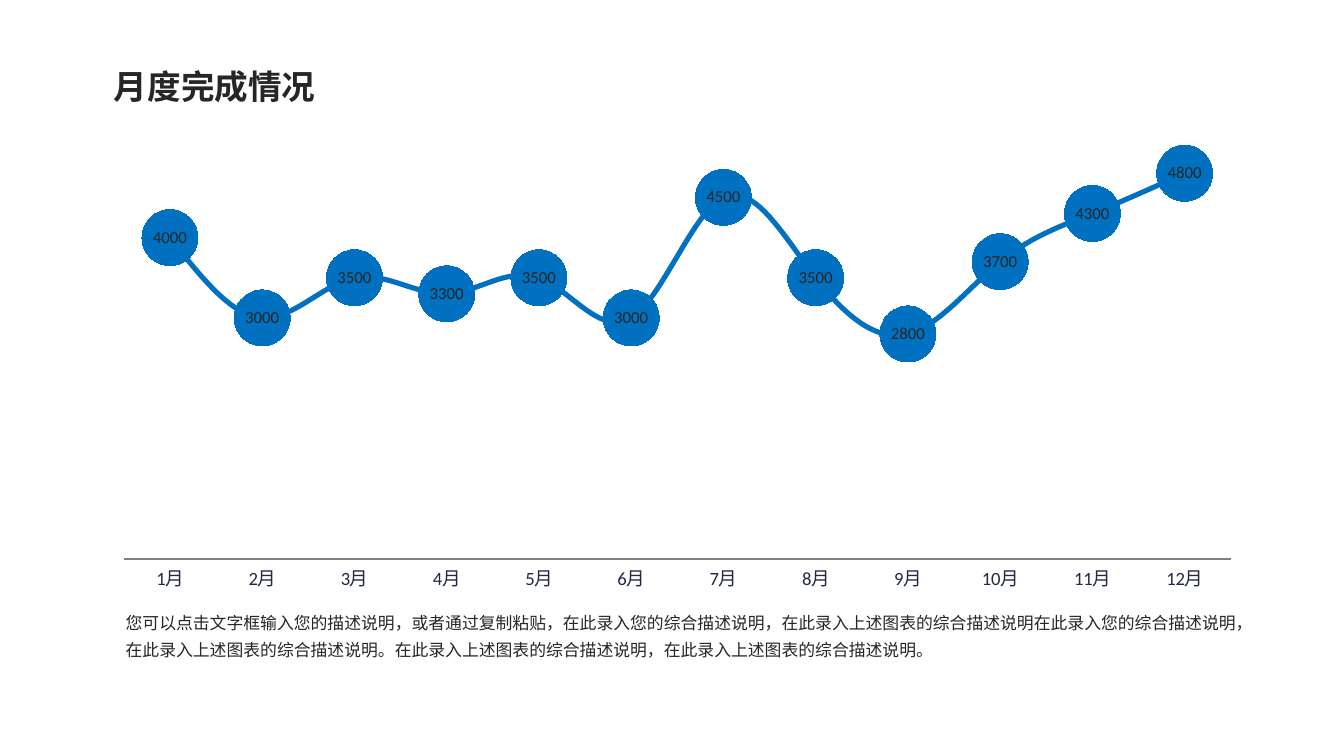
"""Build a slide with a smoothed line chart of monthly results."""
from lxml import etree
from pptx import Presentation
from pptx.chart.data import CategoryChartData
from pptx.dml.color import RGBColor
from pptx.enum.chart import (XL_CHART_TYPE, XL_LABEL_POSITION, XL_MARKER_STYLE,
                             XL_TICK_LABEL_POSITION, XL_TICK_MARK)
from pptx.enum.text import MSO_AUTO_SIZE
from pptx.oxml.ns import qn
from pptx.util import Inches, Pt

LINE_MARKERS = XL_CHART_TYPE.LINE_MARKERS
LABEL_CENTER = XL_LABEL_POSITION.CENTER
CIRCLE = XL_MARKER_STYLE.CIRCLE
NO_TICK = XL_TICK_MARK.NONE
NEXT_TO_AXIS = XL_TICK_LABEL_POSITION.NEXT_TO_AXIS
GROW = MSO_AUTO_SIZE.SHAPE_TO_FIT_TEXT

BLUE = RGBColor(0x00, 0x70, 0xC0)
INK = RGBColor(0x26, 0x26, 0x26)
NAVY = RGBColor(0x21, 0x27, 0x45)
GRAY = RGBColor(0x80, 0x80, 0x80)
BLACK = RGBColor(0x00, 0x00, 0x00)
LATIN = "Calibri"
CJK = "Noto Sans CJK SC"

TITLE = "月度完成情况"
NOTE = ("您可以点击文字框输入您的描述说明，或者通过复制粘贴，在此录入您的综合描述说明，"
        "在此录入上述图表的综合描述说明在此录入您的综合描述说明，"
        "在此录入上述图表的综合描述说明。在此录入上述图表的综合描述说明，"
        "在此录入上述图表的综合描述说明。")
MONTHS = [f"{month}月" for month in range(1, 13)]
RESULTS = [4000, 3000, 3500, 3300, 3500, 3000, 4500, 3500, 2800, 3700, 4300, 4800]


def style_font(font, size, color, name=LATIN):
    """Set the size, colour and typeface of a font."""
    font.size = Pt(size)
    font.color.rgb = color
    font.name = name


def add_text(page, text, left, top, width, height, *, size, bold=False,
             line_spacing=None, margins=(7.2, 3.6)):
    """Add a wrapped text box holding one paragraph, with margins in points."""
    box = page.shapes.add_textbox(Inches(left), Inches(top), Inches(width), Inches(height))
    frame = box.text_frame
    frame.word_wrap = True
    frame.auto_size = GROW
    frame.margin_left = frame.margin_right = Pt(margins[0])
    frame.margin_top = frame.margin_bottom = Pt(margins[1])
    para = frame.paragraphs[0]
    para.line_spacing = line_spacing
    span = para.add_run()
    span.text = text
    span.font.bold = bold
    style_font(span.font, size, INK, CJK)
    etree.SubElement(span.font._element, qn("a:ea"), typeface=CJK)


def place_plot(chart, **fractions):
    """Fix the inner plot area as fractions of the chart."""
    plot_area = chart.element.find(f".//{qn('c:plotArea')}")
    for old_layout in plot_area.findall(qn("c:layout")):
        plot_area.remove(old_layout)
    layout = etree.Element(qn("c:layout"))
    manual = etree.SubElement(layout, qn("c:manualLayout"))
    settings = {"layoutTarget": "inner", "xMode": "edge", "yMode": "edge", **fractions}
    for tag, value in settings.items():
        etree.SubElement(manual, qn(f"c:{tag}"), val=str(value))
    plot_area.insert(0, layout)


def style_axes(chart):
    """Show a plain month axis and hide the value axis."""
    months = chart.category_axis
    months.major_tick_mark = months.minor_tick_mark = NO_TICK
    months.tick_label_position = NEXT_TO_AXIS
    months.has_major_gridlines = False
    months.format.line.color.rgb = GRAY
    months.format.line.width = Pt(0.75)
    style_font(months.tick_labels.font, 10, NAVY)
    values = chart.value_axis
    values.minimum_scale, values.maximum_scale, values.major_unit = 0, 5000, 1000
    values.has_major_gridlines = False
    values.visible = False


def style_series(series):
    """Draw a smooth line with large round markers and centred values."""
    series.smooth = True
    series.format.line.color.rgb = BLUE
    series.format.line.width = Pt(2.75)
    marker = series.marker
    marker.style = CIRCLE
    marker.size = 30
    marker.format.fill.solid()
    marker.format.fill.fore_color.rgb = BLUE
    marker.format.line.fill.background()
    labels = series.data_labels
    labels.show_value = True
    labels.position = LABEL_CENTER
    style_font(labels.font, 9, INK)


def add_line_chart(page, left, top, width, height):
    """Add the chart of monthly results."""
    chart_data = CategoryChartData()
    chart_data.categories = MONTHS
    chart_data.add_series("Series 1", RESULTS)
    chart = page.shapes.add_chart(LINE_MARKERS, Inches(left), Inches(top),
                                  Inches(width), Inches(height), chart_data).chart
    chart.has_legend = False
    chart.has_title = False
    style_font(chart.font, 10, BLACK)
    chart.plots[0].vary_by_categories = False
    style_axes(chart)
    style_series(chart.plots[0].series[0])
    place_plot(chart, x=0.02, y=0.09 / height, w=0.96, h=2.99 / height)


def main():
    """Build and save the deck."""
    deck = Presentation()
    deck.slide_width, deck.slide_height = Inches(10), Inches(10 * 9 / 16)
    page = deck.slides.add_slide(deck.slide_layouts[6])
    add_line_chart(page, 0.75, 1.08, 8.58, 3.38)
    add_text(page, NOTE, 0.86, 4.48, 8.41, 0.45, size=9, line_spacing=1.3,
             margins=(5.4, 2.7))
    add_text(page, TITLE, 0.75, 0.44, 3.47, 0.4, size=18, bold=True)
    deck.save("out.pptx")


if __name__ == "__main__":
    main()
